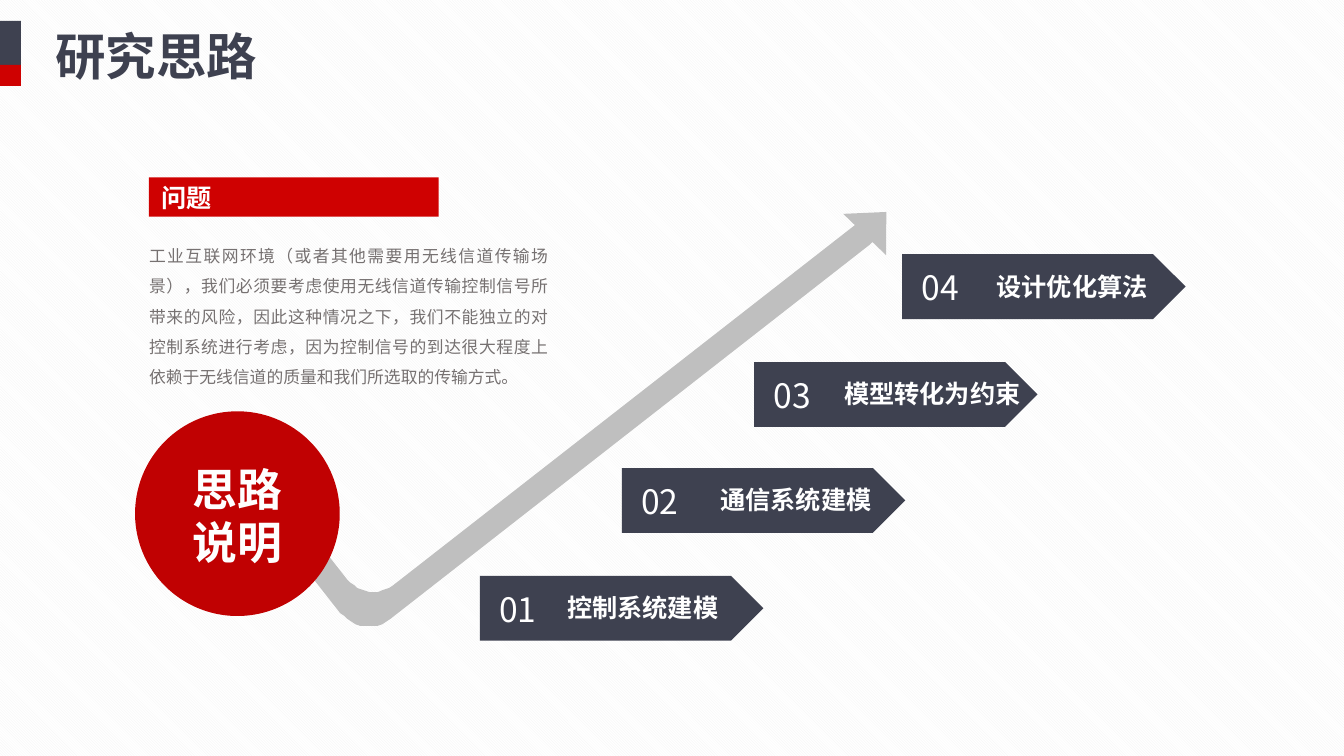
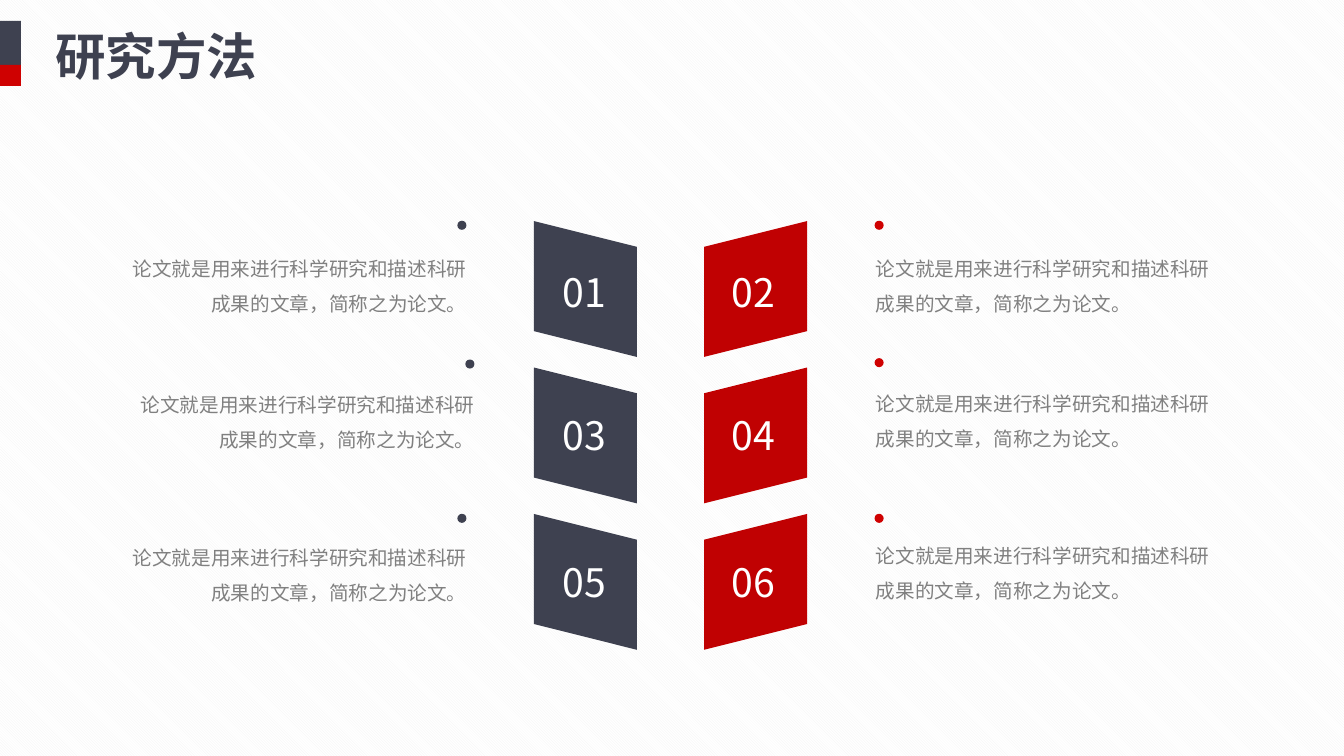
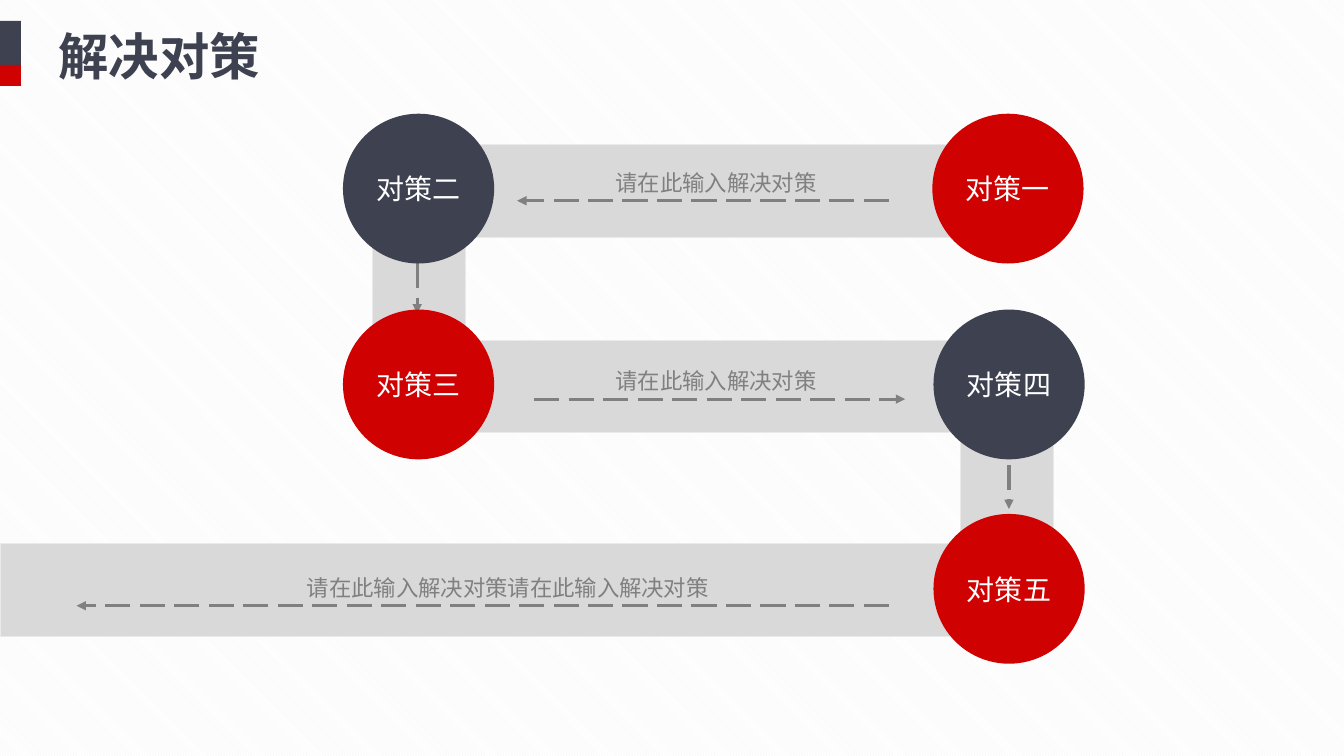
from dataclasses import dataclass
from lxml.etree import SubElement
from pptx import Presentation
from pptx.dml.color import RGBColor
from pptx.enum.dml import MSO_LINE, MSO_PATTERN
from pptx.enum.shapes import MSO_CONNECTOR, MSO_SHAPE
from pptx.enum.text import MSO_ANCHOR, MSO_AUTO_SIZE, PP_ALIGN
from pptx.oxml.ns import qn
from pptx.util import Pt


@dataclass(frozen=True)
class Theme:
    navy: str = "3E4150"
    red: str = "CF0101"
    deep_red: str = "C00102"
    white: str = "FFFFFF"
    off_white: str = "FEFEFE"
    stripe: str = "F2F2F2"
    arrow: str = "BFBFBF"
    band: str = "D9D9D9"
    band_edge: str = "EAEAEA"
    gray: str = "808080"
    warm_gray: str = "767171"
    font: str = "Noto Sans CJK SC"
    latin_font: str = "Calibri"
    title: int = 36
    hero: int = 32
    plate: int = 28
    number: int = 24
    step: int = 20
    label: int = 18
    caption: int = 16
    body: int = 14
    note: int = 12


THEME = Theme()


def color(value):
    return RGBColor.from_string(value)


def curve(start, first, second, end, steps=12):
    """Points along a cubic curve, without its start."""
    points = []
    for step in range(1, steps + 1):
        t = step / steps
        weights = ((1 - t) ** 3, 3 * t * (1 - t) ** 2, 3 * t * t * (1 - t), t ** 3)
        knots = (start, first, second, end)
        points.append(tuple(sum(w * knot[axis] for w, knot in zip(weights, knots))
                            for axis in (0, 1)))
    return points


class SlideBuilder:
    """Holds the deck, the theme and the slide being drawn."""

    def __init__(self, theme):
        self.theme = theme
        self.deck = Presentation()
        self.deck.slide_width, self.deck.slide_height = Pt(960), Pt(540)
        fill = self.deck.slide_master.background.fill
        fill.patterned()
        fill.pattern = MSO_PATTERN.LIGHT_DOWNWARD_DIAGONAL
        fill.fore_color.rgb = color(theme.stripe)
        fill.back_color.rgb = color(theme.white)
        self.page = None

    def new_page(self, title, left=32.4):
        self.page = self.deck.slides.add_slide(self.deck.slide_layouts[5])
        self.shape(MSO_SHAPE.RECTANGLE, (0, 15, 15, 46.5), self.theme.navy)
        self.shape(MSO_SHAPE.RECTANGLE, (0, 46.3, 15, 15.2), self.theme.red)
        box = self.page.shapes.title
        box.left, box.top, box.width, box.height = Pt(left), Pt(13.7), Pt(230), Pt(51)
        self.set_text(box, title, self.theme.title, self.theme.navy, bold=True)

    def set_text(self, box, text, size, ink, bold=False, align=PP_ALIGN.LEFT,
                 anchor=MSO_ANCHOR.MIDDLE, spacing=None, wrap=True, font=None):
        frame = box.text_frame
        frame.text = text
        frame.word_wrap = wrap
        frame.auto_size = MSO_AUTO_SIZE.NONE
        frame.vertical_anchor = anchor
        for para in frame.paragraphs:
            para.alignment = align
            if spacing:
                para.line_spacing = spacing
            for span in para.runs:
                span.font.size, span.font.bold = Pt(size), bold
                span.font.color.rgb = color(ink)
                span.font.name = font or self.theme.font
                east_asian = SubElement(span.font._element, qn("a:ea"))
                east_asian.set("typeface", self.theme.font)

    def text(self, at, text, size, ink, **style):
        box = self.page.shapes.add_textbox(*map(Pt, at))
        self.set_text(box, text, size, ink, **style)

    def paint(self, shape, fill, edge=None):
        shape.shadow.inherit = False
        shape.fill.solid()
        shape.fill.fore_color.rgb = color(fill)
        if edge:
            shape.line.color.rgb, shape.line.width = color(edge), Pt(0.75)
        else:
            shape.line.fill.background()

    def shape(self, kind, at, fill, edge=None, rotation=0, mirrored=False):
        shape = self.page.shapes.add_shape(kind, *map(Pt, at))
        self.paint(shape, fill, edge)
        shape.rotation = rotation
        if mirrored:
            shape._element.spPr.find(qn("a:xfrm")).set("flipV", "1")
        return shape

    def outline(self, points, fill):
        start, *rest = points
        builder = self.page.shapes.build_freeform(*start, scale=Pt(1))
        builder.add_line_segments(rest)
        self.paint(builder.convert_to_shape(), fill)

    def dashed_arrow(self, start, end):
        arrow = self.page.shapes.add_connector(
            MSO_CONNECTOR.STRAIGHT, *map(Pt, (*start, *end)))
        arrow.line.color.rgb, arrow.line.width = color(self.theme.gray), Pt(2.25)
        arrow.line.dash_style = MSO_LINE.LONG_DASH
        properties = arrow._element.spPr
        SubElement(properties.find(qn("a:ln")), qn("a:tailEnd")).set("type", "triangle")
        SubElement(properties, qn("a:effectLst"))

    def step_tag(self, left, top, number, label, label_gap):
        theme = self.theme
        self.shape(MSO_SHAPE.PENTAGON, (left, top, 202.5, 46.3), theme.navy)
        self.text((left + 6.8, top + 5.6, 43, 36), number, theme.number, theme.white,
                  wrap=False)
        self.text((left + label_gap, top + 8.2, 142, 29), label, theme.label,
                  theme.white, bold=True, wrap=False)

    def circle(self, left, top, label, fill):
        disc = self.shape(MSO_SHAPE.OVAL, (left, top, 108, 107), fill)
        self.set_text(disc, label, self.theme.step, self.theme.white, wrap=False,
                      align=PP_ALIGN.CENTER, font=self.theme.latin_font)


def draw_approach(slide):
    theme = slide.theme
    slide.new_page("研究思路")

    # Rising arrow
    shaft = [(612.7, 159.1), (630, 159.1), (629.3, 162.7)]
    shaft += curve(shaft[-1], (627.8, 167), (625, 171.4), (621.4, 175))
    shaft.append((278.6, 442.1))
    shaft += curve(shaft[-1], (267.8, 450.7), (252, 448.6), (243.4, 437.8))
    shaft += [(225.4, 414.7), (229, 403.9), (230.4, 391), (248.4, 414)]
    shaft += curve(shaft[-1], (255.6, 424.1), (270.7, 426.2), (280.8, 418.3))
    slide.outline(shaft, theme.arrow)
    slide.shape(MSO_SHAPE.ISOSCELES_TRIANGLE, (604.1, 148.3, 42.5, 22.3), theme.arrow,
                rotation=43.9)

    # Starting point
    slide.shape(MSO_SHAPE.OVAL, (96.5, 293.8, 146.2, 146.2), theme.deep_red)
    slide.text((130.3, 325.4, 79.2, 85), "思路\n说明", theme.hero, theme.off_white,
               bold=True, wrap=False)

    # Steps
    for step in ((644.4, 181.6, "04", "设计优化算法", 60.3),
                 (538.6, 258.6, "03", "模型转化为约束", 57.3),
                 (444.2, 334.3, "02", "通信系统建模", 63.2),
                 (342.8, 411.3, "01", "控制系统建模", 55.2)):
        slide.step_tag(*step)

    # Problem
    slide.text((99.4, 164.9, 299.5, 113.8),
               "工业互联网环境（或者其他需要用无线信道传输场景），我们必须要考虑使用无线信道"
               "传输控制信号所带来的风险，因此这种情况之下，我们不能独立的对控制系统进行考虑，"
               "因为控制信号的到达很大程度上依赖于无线信道的质量和我们所选取的传输方式。",
               theme.note, theme.warm_gray, align=PP_ALIGN.JUSTIFY,
               anchor=MSO_ANCHOR.TOP, spacing=1.5)
    slide.shape(MSO_SHAPE.RECTANGLE, (106.3, 126.7, 207, 28), theme.red)
    slide.text((108, 126.7, 51, 29), "问题", theme.label, theme.white, bold=True,
               wrap=False)


def draw_methods(slide):
    theme = slide.theme
    slide.new_page("研究方法")
    summary = "论文就是用来进行科学研究和描述科研成果的文章，简称之为论文。"

    # Numbered plates
    for row, number_top in enumerate((187.9, 290.2, 394.9)):
        for column, fill in enumerate((theme.navy, theme.deep_red)):
            slide.shape(MSO_SHAPE.PARALLELOGRAM,
                        (369.6 + 121.6 * column, 169.7 + 104.6 * row, 97, 73.5),
                        fill, rotation=90, mirrored=column == 1)
            slide.text((394.6 + 120.9 * column, number_top, 47.5, 41),
                       f"{2 * row + column + 1:02d}", theme.plate, theme.white,
                       wrap=False)

    # Summaries with their dots
    left_side = (PP_ALIGN.RIGHT, theme.navy, 244.6)
    right_side = (PP_ALIGN.LEFT, theme.red, 6.2)
    for left, top, dot_top, (align, fill, dot_gap) in (
            (82.1, 171.4, 157.7, left_side), (87.8, 268.6, 256.8, left_side),
            (82.1, 378, 367, left_side), (618.5, 171.4, 157.7, right_side),
            (618.5, 267.8, 255.8, right_side), (618.5, 376.6, 367, right_side)):
        slide.text((left, top, 258.5, 57), summary, theme.body, theme.gray, align=align,
                   anchor=MSO_ANCHOR.TOP, spacing=1.5)
        slide.shape(MSO_SHAPE.OVAL, (left + dot_gap, dot_top, 6.5, 6.5), fill)


def draw_measures(slide):
    theme = slide.theme
    slide.new_page("解决对策", left=34.6)

    # Bands with their arrows
    for band, start, end in (
            ((0, 388.4, 752.4, 66.2), (635, 432.7), (54.7, 432.7)),
            ((291.6, 243, 460.8, 66.2), (381.6, 285.1), (646.6, 285.1)),
            ((686.2, 275, 66.2, 183), (720.7, 331.9), (720.7, 363.6)),
            ((329, 103.3, 423.4, 66.6), (635, 143.4), (369.4, 143.4)),
            ((266.4, 103.7, 66.2, 206), (298, 187.9), (298, 223.9))):
        slide.shape(MSO_SHAPE.RECTANGLE, band, theme.band, edge=theme.band_edge)
        slide.dashed_arrow(start, end)

    # Measures
    for left, top, label, fill in ((666, 81.2, "对策一", theme.red),
                                   (245, 81.2, "对策二", theme.navy),
                                   (245, 221.1, "对策三", theme.red),
                                   (666.8, 221.1, "对策四", theme.navy),
                                   (666.8, 367.1, "对策五", theme.red)):
        slide.circle(left, top, label, fill)

    # Captions
    prompt = "请在此输入解决对策"
    for left, top, width, text in ((371.5, 109.4, 280, prompt),
                                   (371.5, 250.6, 280, prompt),
                                   (91.4, 398.2, 543, prompt * 2)):
        slide.text((left, top, width, 33), text, theme.caption, theme.gray,
                   align=PP_ALIGN.CENTER, spacing=1.5)


def main():
    slide = SlideBuilder(THEME)
    draw_approach(slide)
    draw_methods(slide)
    draw_measures(slide)
    slide.deck.save("out.pptx")


if __name__ == "__main__":
    main()
